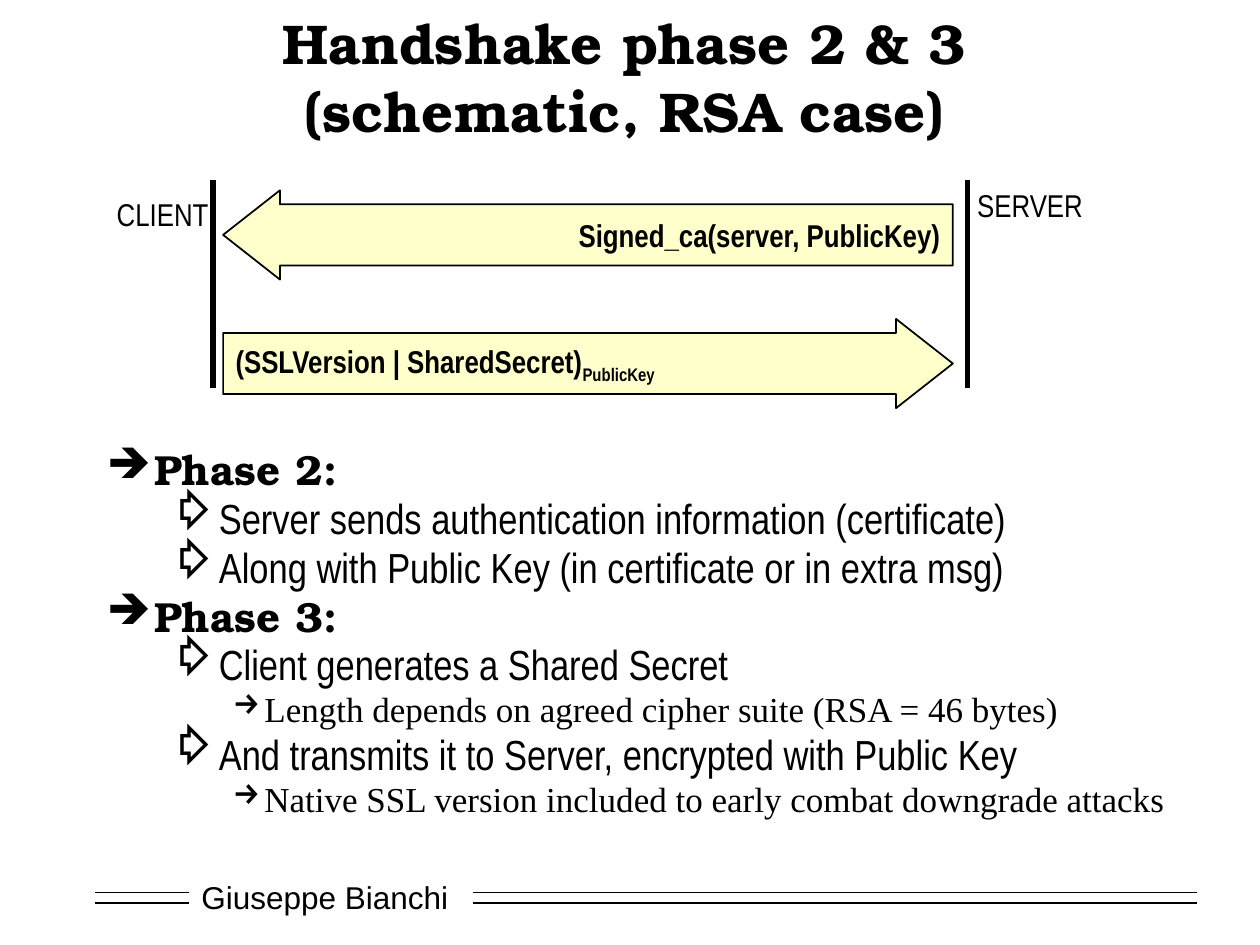
from dataclasses import dataclass

from lxml import etree
from pptx import Presentation
from pptx.dml.color import RGBColor
from pptx.enum.shapes import MSO_CONNECTOR, MSO_SHAPE
from pptx.enum.text import MSO_ANCHOR, PP_ALIGN
from pptx.oxml.ns import qn
from pptx.util import Pt

LINE = MSO_CONNECTOR.STRAIGHT
RECT, ARROW = MSO_SHAPE.RECTANGLE, MSO_SHAPE.RIGHT_ARROW
TOP, MIDDLE = MSO_ANCHOR.TOP, MSO_ANCHOR.MIDDLE
LEFT, CENTER, RIGHT = PP_ALIGN.LEFT, PP_ALIGN.CENTER, PP_ALIGN.RIGHT
COLORS = {"ink": "000000", "paper": "FFFFFF", "arrow": "FFFF99"}
SERIF, NARROW = "TeX Gyre Bonum", "Arial Narrow"


@dataclass(frozen=True)
class Level:
    bullet: str
    margin: float
    hanging: float
    font: str
    size: float
    bold: bool = False


@dataclass(frozen=True)
class Item:
    level: int
    text: str


@dataclass(frozen=True)
class Message:
    top: float
    text: str
    subscript: str = ""
    to_client: bool = False


LEVELS = [
    Level("➔", 27, 27, SERIF, 24, True),
    Level("⇨", 58.5, 22.5, NARROW, 24),
    Level("→", 90, 18, "Times New Roman", 20),
]
ITEMS = [
    Item(0, "Phase 2:"),
    Item(1, "Server sends authentication information (certificate)"),
    Item(1, "Along with Public Key (in certificate or in extra msg)"),
    Item(0, "Phase 3:"),
    Item(1, "Client generates a Shared Secret"),
    Item(2, "Length depends on agreed cipher suite (RSA = 46 bytes)"),
    Item(1, "And transmits it to Server, encrypted with Public Key"),
    Item(2, "Native SSL version included to early combat downgrade attacks"),
]
MESSAGES = [
    Message(108.75, "Signed_ca(server, PublicKey)", to_client=True),
    Message(182.25, "(SSLVersion | SharedSecret)", "PublicKey"),
]


def rgb(name: str) -> RGBColor:
    """Return the named colour."""
    return RGBColor.from_string(COLORS[name])


def add_text(p, text: str, *, font: str = NARROW, size: float = 18,
             bold: bool = False, align=LEFT, baseline: int = 0) -> None:
    """Add formatted text to a paragraph, breaking at newlines."""
    p.alignment = align
    for i, line in enumerate(text.split("\n")):
        if i:
            p.add_line_break()
        r = p.add_run()
        r.text = line
        r.font.name, r.font.size, r.font.bold = font, Pt(size), bold
        r.font.color.rgb = rgb("ink")
        if baseline:
            r.font._element.set("baseline", str(baseline))


def add_box(s, left: float, top: float, width: float, height: float,
            anchor=TOP, wrap: bool = True):
    """Add an empty text box and return its text frame."""
    sp = s.shapes.add_textbox(Pt(left), Pt(top), Pt(width), Pt(height))
    tf = sp.text_frame
    tf.word_wrap, tf.vertical_anchor = wrap, anchor
    return tf


def add_line(s, x1: float, y1: float, x2: float, y2: float, weight: float) -> None:
    """Add a straight black line without shadow."""
    sp = s.shapes.add_connector(LINE, Pt(x1), Pt(y1), Pt(x2), Pt(y2))
    sp.line.color.rgb, sp.line.width = rgb("ink"), Pt(weight)
    etree.SubElement(sp._element.spPr, qn("a:effectLst"))


def add_filled(s, kind, left: float, top: float, width: float, height: float, color: str):
    """Add a flat filled shape with vertically centred text."""
    sp = s.shapes.add_shape(kind, Pt(left), Pt(top), Pt(width), Pt(height))
    sp.shadow.inherit = False
    sp.fill.solid()
    sp.fill.fore_color.rgb = rgb(color)
    sp.text_frame.vertical_anchor = MIDDLE
    return sp


def add_message(s, message: Message) -> None:
    """Add a translucent arrow carrying a handshake message."""
    sp = add_filled(s, ARROW, 127.5, message.top, 417, 51, "arrow")
    sp.adjustments[0], sp.adjustments[1] = 0.685, 0.637
    color = sp._element.spPr.find(qn("a:solidFill"))[0]
    etree.SubElement(color, qn("a:alpha"), val="50000")
    sp.line.color.rgb, sp.line.width = rgb("ink"), Pt(1)
    if message.to_client:
        sp._element.spPr.find(qn("a:xfrm")).set("flipH", "1")
    sp.text_frame.word_wrap = False
    p = sp.text_frame.paragraphs[0]
    align = RIGHT if message.to_client else LEFT
    add_text(p, message.text, bold=True, align=align)
    if message.subscript:
        add_text(p, message.subscript, bold=True, align=align, baseline=-25000)


def add_item(p, item: Item) -> None:
    """Fill a paragraph with a bulleted outline item."""
    level = LEVELS[item.level]
    p.level, p.line_spacing, p.space_before = item.level, 0.8, Pt(level.size * 0.2)
    pPr = p._p.get_or_add_pPr()
    pPr.set("marL", str(Pt(level.margin)))
    pPr.set("indent", str(-Pt(level.hanging)))
    bullet_color = etree.SubElement(pPr, qn("a:buClr"))
    etree.SubElement(bullet_color, qn("a:srgbClr"), val=COLORS["ink"])
    etree.SubElement(pPr, qn("a:buChar"), char=level.bullet)
    add_text(p, item.text, font=level.font, size=level.size, bold=level.bold)


def main() -> None:
    """Build and save the handshake slide."""
    prs = Presentation()
    prs.slide_width, prs.slide_height = Pt(720), Pt(540)
    s = prs.slides.add_slide(prs.slide_layouts[6])

    footer = add_filled(s, RECT, 108, 498.25, 156, 28.8, "paper")
    footer.line.fill.background()
    add_text(footer.text_frame.paragraphs[0], "Giuseppe Bianchi", font="Arial")
    for y in (510, 516):
        for x1, x2 in ((54, 108), (270, 684)):
            add_line(s, x1, y, x2, y, 1)

    title = add_box(s, 54, 18, 606, 51, anchor=MIDDLE)
    add_text(title.paragraphs[0], "Handshake phase 2 & 3\n(schematic, RSA case)",
             font=SERIF, size=32, bold=True, align=CENTER)

    body = add_box(s, 54, 255.75, 626.25, 224)
    for i, item in enumerate(ITEMS):
        add_item(body.add_paragraph() if i else body.paragraphs[0], item)

    for text, left, top, width in (("CLIENT", 59.6, 108, 67), ("SERVER", 551.3, 103, 75.6)):
        add_text(add_box(s, left, top, width, 28.8, wrap=False).paragraphs[0], text)
    for x in (553, 121.7):
        add_line(s, x, 103, x, 221.75, 3)
    for message in MESSAGES:
        add_message(s, message)

    prs.save("out.pptx")


if __name__ == "__main__":
    main()
